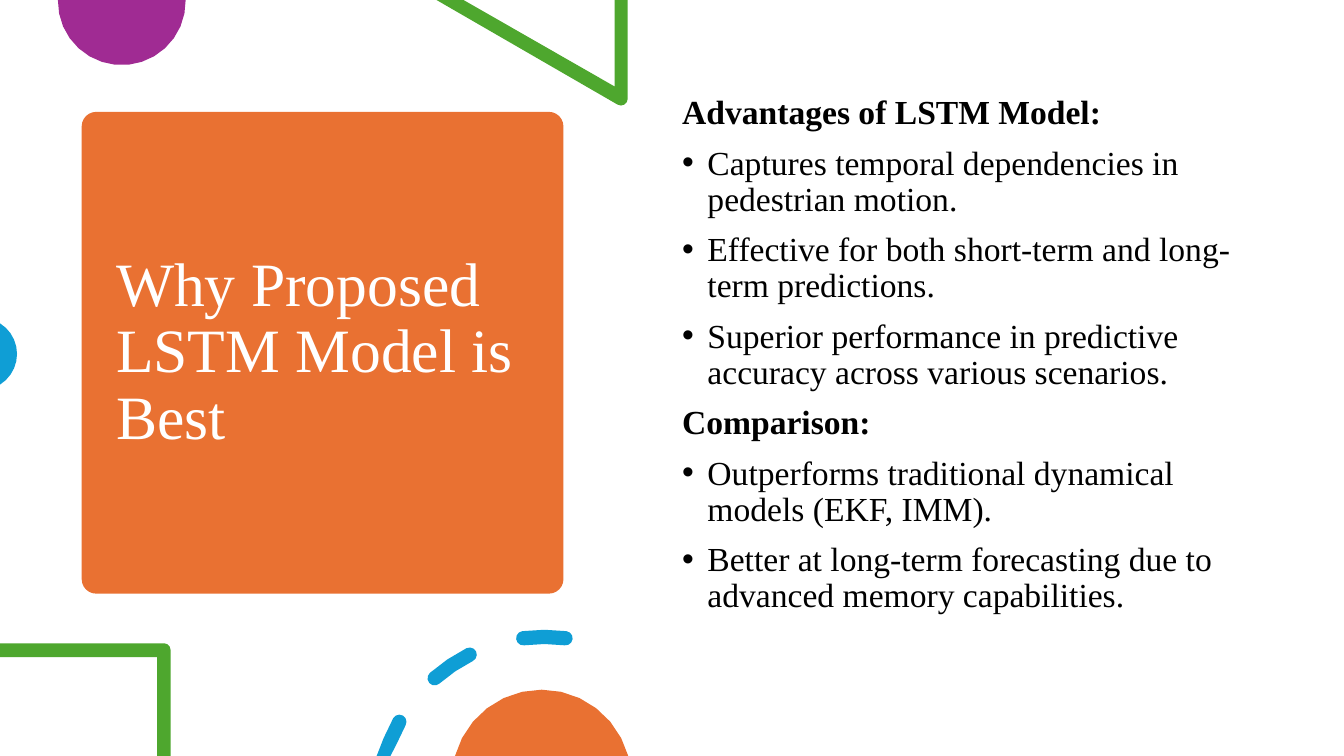
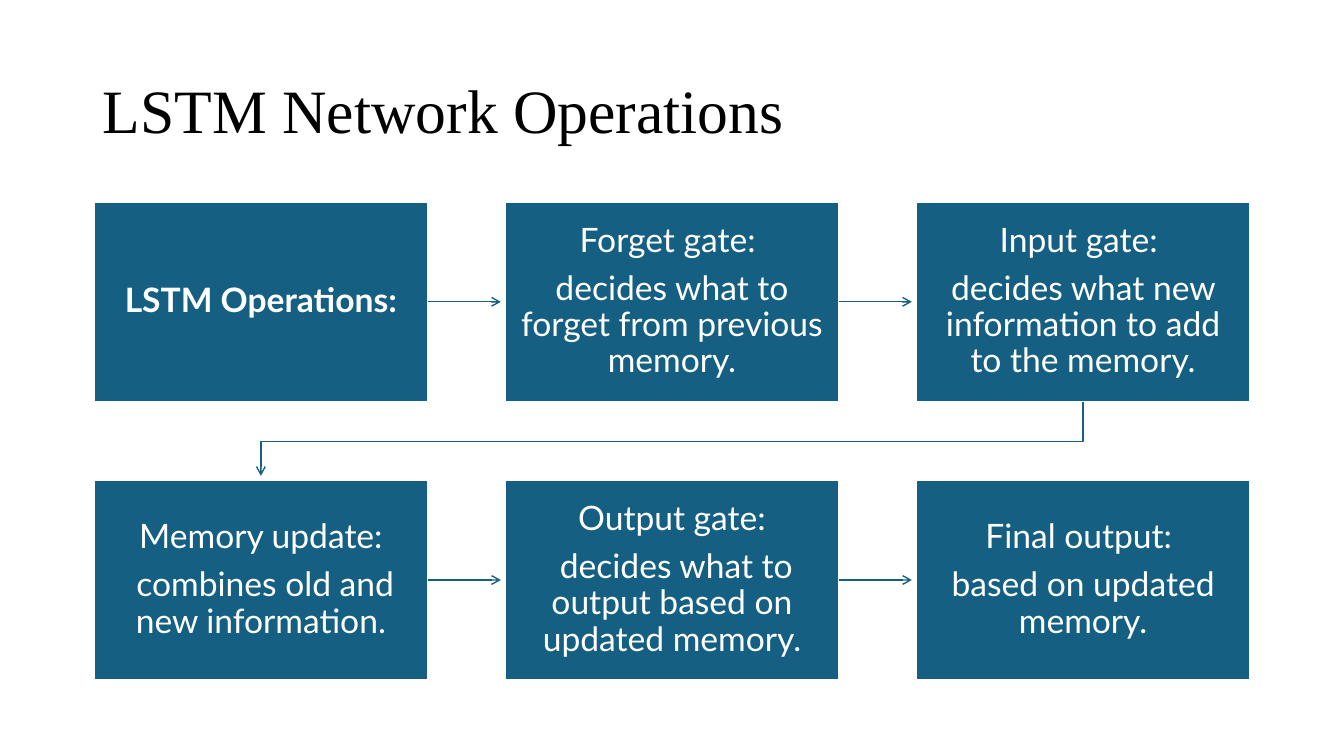
from dataclasses import dataclass
from itertools import product
from math import cos, radians, sin
from typing import NamedTuple

from lxml.etree import SubElement
from pptx import Presentation
from pptx.dml.color import RGBColor
from pptx.enum.shapes import MSO_CONNECTOR as Link, MSO_SHAPE as Preset
from pptx.enum.text import MSO_ANCHOR as Anchor, MSO_AUTO_SIZE as AutoSize, PP_ALIGN as Align
from pptx.oxml.ns import qn
from pptx.util import Cm, Pt

Point = tuple[float, float]
SLIDE_WIDTH, SLIDE_HEIGHT = 33.87, 19.05
TITLE_ONLY = 5


@dataclass(frozen=True)
class Theme:
    """Colours, fonts and type sizes shared by the slides."""
    ink: str = "000000"
    paper: str = "FFFFFF"
    orange: str = "E97132"
    purple: str = "A02B93"
    green: str = "4EA72E"
    sky: str = "0F9ED5"
    petrol: str = "156082"
    serif: str = "Times New Roman"
    sans: str = "Lato"
    title_size: int = 44
    text_size: int = 24
    leading: float = 0.9


class Box(NamedTuple):
    """Left, top, width and height in centimetres."""
    left: float
    top: float
    width: float
    height: float

    def lengths(self) -> list[Cm]:
        """Return the four values as lengths."""
        return [Cm(value) for value in self]


class Decoration(NamedTuple):
    """A coloured ornament made of closed outlines."""
    colour: str
    outlines: list[list[Point]]


class Claim(NamedTuple):
    """A line of the argument, either a heading or a bullet."""
    text: str
    heading: bool = False


class Operation(NamedTuple):
    """The paragraphs of one box in the flow."""
    lines: tuple[str, ...]
    bold: bool = False


THEME = Theme()

ARGUMENT = [
    Claim("Advantages of LSTM Model:", True),
    Claim("Captures temporal dependencies in pedestrian motion."),
    Claim("Effective for both short-term and long-term predictions."),
    Claim("Superior performance in predictive accuracy across various scenarios."),
    Claim("Comparison:", True),
    Claim("Outperforms traditional dynamical models (EKF, IMM)."),
    Claim("Better at long-term forecasting due to advanced memory capabilities."),
]

OPERATIONS = [
    Operation(("LSTM Operations:",), True),
    Operation(("Forget gate: ", "decides what to forget from previous memory.")),
    Operation(("Input gate: ", "decides what new information to add to the memory.")),
    Operation(("Memory update:", " combines old and new information.")),
    Operation(("Output gate:", " decides what to output based on updated memory.")),
    Operation(("Final output: ", "based on updated memory.")),
]

FIRST_STEP = Box(2.36, 5.08, 8.43, 5.05)
COLUMNS, ROWS = 3, 2
COLUMN_PITCH, ROW_PITCH = 10.36, 7.01
ARROW_GAP = 0.1


def polar(centre: Point, radius: float, degrees: float) -> Point:
    """Return the point at an angle on a circle."""
    angle = radians(degrees)
    return centre[0] + radius * cos(angle), centre[1] + radius * sin(angle)


def arc(centre: Point, radius: float, start: float, end: float) -> list[Point]:
    """Return the points of an arc, held within the slide."""
    steps = max(2, round(abs(end - start) / (30 if radius < 0.5 else 12)))
    points = [polar(centre, radius, start + (end - start) * step / steps)
              for step in range(steps + 1)]
    return [(max(x, 0), min(max(y, 0), SLIDE_HEIGHT)) for x, y in points]


def dash(centre: Point, radius: float, middle: float) -> list[Point]:
    """Return the outline of one round-ended dash of a ring."""
    half_width, half_sweep = 0.18, 7.3
    start, end = middle - half_sweep, middle + half_sweep
    return (arc(centre, radius + half_width, start, end)
            + arc(polar(centre, radius, end), half_width, end, end + 180)
            + arc(centre, radius - half_width, end, start)
            + arc(polar(centre, radius, start), half_width, start + 180, start + 360))


DECORATIONS = [
    Decoration(THEME.purple, [arc((3.07, 0.03), 1.61, -1, 181)]),
    Decoration(THEME.green, [[(15.82, 0), (15.49, 0), (15.49, 2.18), (11.68, 0), (11, 0)]
                             + arc((15.65, 2.49), 0.17, 120, 0)]),
    Decoration(THEME.sky, [arc((-0.48, 8.92), 0.91, -58, 58)]),
    Decoration(THEME.green, [[(0, 16.21)] + arc((4.13, 16.38), 0.17, 270, 360)
                             + [(4.3, 19.05), (3.96, 19.05), (3.96, 16.56), (0, 16.56)]]),
    Decoration(THEME.sky, [dash((13.72, 20.24), 4.19, 270 - 34 * turn) for turn in range(3)]),
    Decoration(THEME.orange, [arc((13.65, 19.64), 2.26, 195, 345)]),
]


def paint(shape, colour: str) -> None:
    """Fill a shape flatly, without line or shadow."""
    shape.shadow.inherit = False
    shape.fill.solid()
    shape.fill.fore_color.rgb = RGBColor.from_string(colour)
    shape.line.fill.background()


def format_text(paragraph, font: str, size: int, colour: str, bold: bool = False) -> None:
    """Format the runs and line spacing of a paragraph."""
    paragraph.line_spacing = THEME.leading
    for run in paragraph.runs:
        run.font.name = font
        run.font.size = Pt(size)
        run.font.bold = bold
        run.font.color.rgb = RGBColor.from_string(colour)


def add_titled_slide(deck, text: str, box: Box, colour: str):
    """Add a slide and set its title."""
    slide = deck.slides.add_slide(deck.slide_layouts[TITLE_ONLY])
    title = slide.shapes.title
    title.left, title.top, title.width, title.height = box.lengths()
    frame = title.text_frame
    frame.text = text
    frame.auto_size = AutoSize.NONE
    frame.vertical_anchor = Anchor.MIDDLE
    heading = frame.paragraphs[0]
    heading.alignment = Align.LEFT
    format_text(heading, THEME.serif, THEME.title_size, colour)
    return slide


def trace(slide, outlines: list[list[Point]], close: bool = True):
    """Draw outlines given in centimetres as one freeform."""
    paths = [[(Cm(x), Cm(y)) for x, y in outline] for outline in outlines]
    builder = slide.shapes.build_freeform(*paths[0][0], scale=1.0)
    for index, (first, *rest) in enumerate(paths):
        if index:
            builder.move_to(*first)
        builder.add_line_segments(rest, close=close)
    return builder.convert_to_shape()


def add_bullet(paragraph) -> None:
    """Give a paragraph a hanging bullet."""
    properties = paragraph._p.get_or_add_pPr()
    properties.set("marL", str(Cm(0.64)))
    properties.set("indent", str(-Cm(0.64)))
    SubElement(properties, qn("a:buFont"), typeface="Arial")
    SubElement(properties, qn("a:buChar"), char="•")


def add_argument(slide, claims: list[Claim], box: Box) -> None:
    """Write headings and bullets in one text box."""
    frame = slide.shapes.add_textbox(*box.lengths()).text_frame
    frame.word_wrap = True
    frame.text = "\n".join(claim.text for claim in claims)
    for paragraph, claim in zip(frame.paragraphs, claims):
        format_text(paragraph, THEME.serif, THEME.text_size, THEME.ink, claim.heading)
        paragraph.space_before = Pt(10)
        if not claim.heading:
            add_bullet(paragraph)


def add_step(slide, operation: Operation, box: Box):
    """Draw one box of the flow with its text."""
    step = slide.shapes.add_shape(Preset.RECTANGLE, *box.lengths())
    paint(step, THEME.petrol)
    step.line.color.rgb = RGBColor.from_string(THEME.paper)
    step.line.width = Pt(1.5)
    frame = step.text_frame
    frame.word_wrap = True
    frame.vertical_anchor = Anchor.MIDDLE
    frame.margin_left = frame.margin_right = Cm(0.41)
    frame.margin_top = frame.margin_bottom = Cm(0.43)
    frame.text = "\n".join(operation.lines)
    for paragraph in frame.paragraphs:
        paragraph.alignment = Align.CENTER
        paragraph.space_after = Pt(8.4)
        format_text(paragraph, THEME.sans, THEME.text_size, THEME.paper, operation.bold)
    return step


def style_arrow(arrow) -> None:
    """Give a line its colour, width and open arrowhead."""
    arrow.line.color.rgb = RGBColor.from_string(THEME.petrol)
    arrow.line.width = Pt(1)
    properties = arrow.element.spPr
    SubElement(properties.find(qn("a:ln")), qn("a:tailEnd"), type="arrow")
    SubElement(properties, qn("a:effectLst"))


def add_side_arrow(slide, step, box: Box) -> None:
    """Draw an arrow from a step towards the one on its right."""
    start, middle = box.left + box.width, box.top + box.height / 2
    end = box.left + COLUMN_PITCH - ARROW_GAP
    arrow = slide.shapes.add_connector(Link.STRAIGHT, Cm(start), Cm(middle), Cm(end), Cm(middle))
    arrow.begin_connect(step, 3)
    style_arrow(arrow)


def add_return_arrow(slide, last: Box, following: Box) -> None:
    """Draw the bent arrow from the end of a row to the next row."""
    start, end = (box.left + box.width / 2 for box in (last, following))
    bottom, turn = last.top + last.height, last.top + last.height + 1
    route = [(start, bottom), (start, turn), (end, turn), (end, following.top - ARROW_GAP)]
    arrow = trace(slide, [route], close=False)
    arrow.fill.background()
    style_arrow(arrow)


def build_reasons(deck) -> None:
    """Build the slide that argues for the model."""
    slide = add_titled_slide(deck, "Why Proposed LSTM Model is Best",
                             Box(2.67, 3.1, 10.95, 11.58), THEME.paper)
    card = slide.shapes.add_shape(Preset.ROUNDED_RECTANGLE, *Box(2.06, 2.82, 12.14, 12.14).lengths())
    card.adjustments[0] = 0.03
    paint(card, THEME.orange)
    slide.shapes.title.element.addprevious(card.element)
    for decoration in DECORATIONS:
        paint(trace(slide, decoration.outlines), decoration.colour)
    add_argument(slide, ARGUMENT, Box(16.94, 2.29, 14.6, 13.59))


def build_operations(deck) -> None:
    """Build the slide with the flow of operations."""
    slide = add_titled_slide(deck, "LSTM Network Operations",
                             Box(2.34, 1.02, 29.21, 3.68), THEME.ink)
    boxes = [FIRST_STEP._replace(left=FIRST_STEP.left + column * COLUMN_PITCH,
                                 top=FIRST_STEP.top + row * ROW_PITCH)
             for row, column in product(range(ROWS), range(COLUMNS))]
    for index, (operation, box) in enumerate(zip(OPERATIONS, boxes)):
        step = add_step(slide, operation, box)
        if (index + 1) % COLUMNS:
            add_side_arrow(slide, step, box)
        elif index + 1 < len(boxes):
            add_return_arrow(slide, box, boxes[index + 1])


def main() -> None:
    """Build and save the presentation."""
    deck = Presentation()
    deck.slide_width, deck.slide_height = Cm(SLIDE_WIDTH), Cm(SLIDE_HEIGHT)
    build_reasons(deck)
    build_operations(deck)
    deck.save("out.pptx")


if __name__ == "__main__":
    main()
